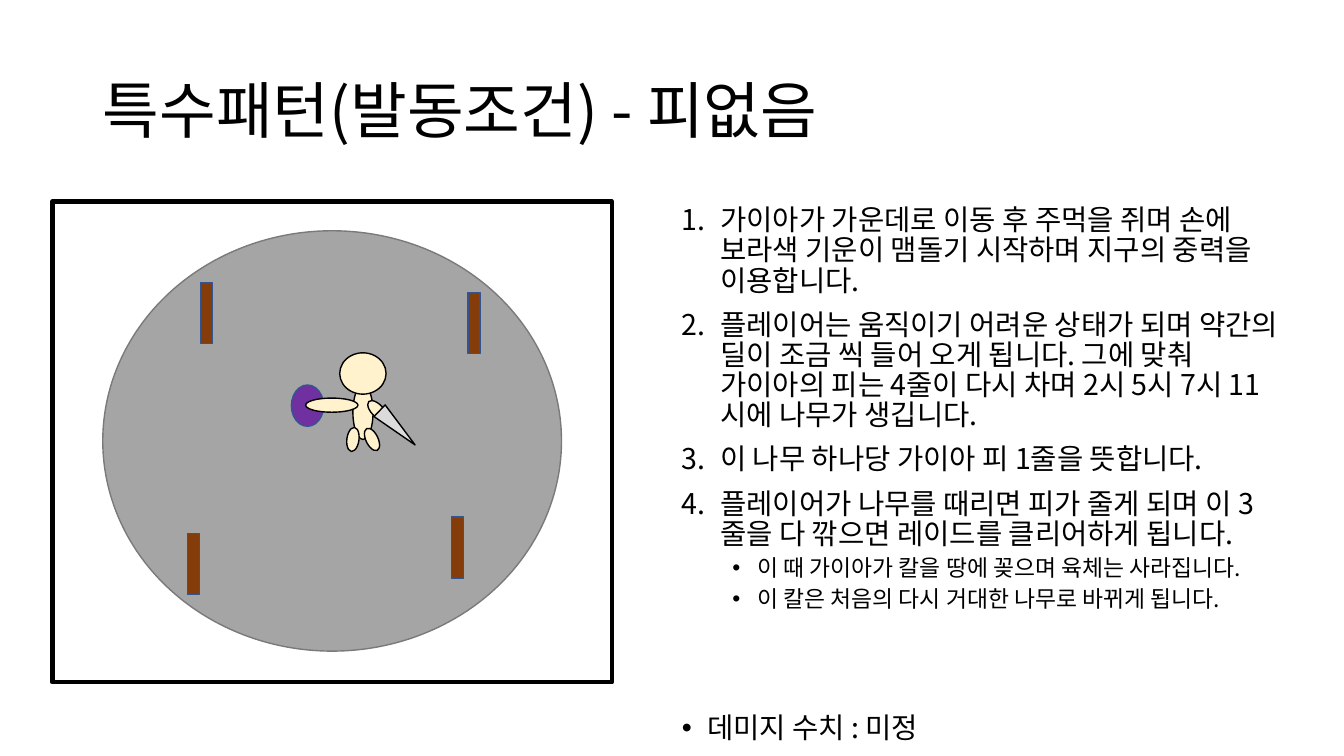
from dataclasses import dataclass

from lxml import etree
from pptx import Presentation
from pptx import util as u
from pptx.dml.color import RGBColor
from pptx.enum import shapes, text
from pptx.oxml.ns import qn

FONT = "Noto Sans CJK KR"
TITLE_SPACING, BODY_SPACING = 0.9, 0.88
BLACK, SKIN, BROWN, NAVY = "000000", "FFF2CC", "843C0B", "325491"
RECT = shapes.MSO_SHAPE.RECTANGLE
OVAL = shapes.MSO_SHAPE.OVAL
TRIANGLE = shapes.MSO_SHAPE.ISOSCELES_TRIANGLE

prs = Presentation()
prs.slide_width, prs.slide_height = u.Inches(13.33), u.Inches(7.5)


@dataclass
class Box:
    """Left and width in % of slide width, top and height in % of its height."""
    left: float
    top: float
    width: float
    height: float

    def emu(self) -> list[int]:
        w, h = prs.slide_width, prs.slide_height
        pairs = ((self.left, w), (self.top, h), (self.width, w), (self.height, h))
        return [round(share * size / 100) for share, size in pairs]


@dataclass
class Figure:
    kind: shapes.MSO_SHAPE
    box: Box
    fill: str | None = SKIN
    line: str = BLACK
    weight: float = 1
    rotation: float = 0


@dataclass
class Item:
    text: str
    size: float = 20.4
    before: float = 10
    indent: float = 0.38
    hanging: float = 0.38
    numbered: bool = True
    level: int = 0


def rgb(value: str) -> RGBColor:
    return RGBColor.from_string(value)


def draw_figure(s, fig: Figure) -> None:
    sp = s.shapes.add_shape(fig.kind, *fig.box.emu())
    sp.shadow.inherit = False
    sp.rotation = fig.rotation
    if fig.fill:
        sp.fill.solid()
        sp.fill.fore_color.rgb = rgb(fig.fill)
    else:
        sp.fill.background()
    sp.line.color.rgb = rgb(fig.line)
    sp.line.width = u.Pt(fig.weight)


def add_text_frame(s, box: Box, anchor: text.MSO_ANCHOR):
    tf = s.shapes.add_textbox(*box.emu()).text_frame
    tf.word_wrap = True
    tf.vertical_anchor = anchor
    return tf


def write(p, words: str, size: float, spacing: float) -> None:
    p.text = words
    p.line_spacing = spacing
    for r in p.runs:
        r.font.size = u.Pt(size)
        r.font.name = FONT
        r.font.color.rgb = rgb(BLACK)
        etree.SubElement(r.font._element, qn("a:ea")).set("typeface", FONT)


def write_item(p, item: Item, first: bool) -> None:
    write(p, item.text, item.size, BODY_SPACING)
    p.level = item.level
    p.space_before = u.Pt(0 if first else item.before)
    pPr = p._p.get_or_add_pPr()
    pPr.set("marL", str(u.Inches(item.indent)))
    pPr.set("indent", str(-u.Inches(item.hanging)))
    if item.numbered:
        etree.SubElement(pPr, qn("a:buFont")).set("typeface", "+mj-lt")
        etree.SubElement(pPr, qn("a:buAutoNum")).set("type", "arabicPeriod")
    else:
        etree.SubElement(pPr, qn("a:buFont")).set("typeface", "Arial")
        etree.SubElement(pPr, qn("a:buChar")).set("char", "•")


def sub_item(words: str) -> Item:
    return Item(words, 16.3, 5, 0.75, 0.25, False, 1)


ITEMS = [
    Item("가이아가 가운데로 이동 후 주먹을 쥐며 손에 보라색 기운이 맴돌기 시작하며 "
         "지구의 중력을 이용합니다."),
    Item("플레이어는 움직이기 어려운 상태가 되며 약간의 딜이 조금 씩 들어 오게 됩니다. "
         "그에 맞춰 가이아의 피는 4줄이 다시 차며 2시 5시 7시 11시에 나무가 생깁니다."),
    Item("이 나무 하나당 가이아 피 1줄을 뜻합니다."),
    Item("플레이어가 나무를 때리면 피가 줄게 되며 이 3줄을 다 깎으면 레이드를 "
         "클리어하게 됩니다."),
    sub_item("이 때 가이아가 칼을 땅에 꽂으며 육체는 사라집니다."),
    sub_item("이 칼은 처음의 다시 거대한 나무로 바뀌게 됩니다."),
    Item("데미지 수치 : 미정", before=73, indent=0.25, hanging=0.25, numbered=False),
]

ARENA = [
    Figure(RECT, Box(3.9, 26.67, 41.63, 63.6), None, weight=3),
    Figure(OVAL, Box(7.65, 30.53, 34.13, 55.6), "A5A5A5", "7A7A7A"),
]

GAIA = [
    Figure(OVAL, Box(26.26, 50.93, 1.5, 7.2)),  # torso
    Figure(OVAL, Box(25.28, 46.67, 3.45, 5.47)),  # head
    Figure(OVAL, Box(27.61, 52.67, 0.9, 3.2), rotation=136.5),  # sword arm
    Figure(OVAL, Box(21.68, 50.93, 2.4, 5.47), "7030A0", NAVY),  # purple aura
    Figure(OVAL, Box(27.23, 56.53, 0.9, 3.2), rotation=154.1),  # legs
    Figure(OVAL, Box(25.81, 56.53, 0.9, 3.2), rotation=7.4),
    Figure(TRIANGLE, Box(28.96, 53.33, 1.2, 6.53), "DBDBDB", rotation=133.9),  # sword
    Figure(OVAL, Box(24.16, 50.13, 1.05, 6.93), rotation=90),  # raised arm
]

TREE_CORNERS = [(13.95, 70.53), (34.81, 38.67), (14.93, 37.33), (33.61, 68.4)]
TREES = [Figure(RECT, Box(left, top, 0.9, 8.13), BROWN, NAVY)
         for left, top in TREE_CORNERS]


def main() -> None:
    s = prs.slides.add_slide(prs.slide_layouts[6])

    # Title
    tf = add_text_frame(s, Box(6.9, 5.33, 86.27, 19.33), text.MSO_ANCHOR.MIDDLE)
    write(tf.paragraphs[0], "특수패턴(발동조건) - 피없음", 44, TITLE_SPACING)

    # Pattern description
    tf = add_text_frame(s, Box(50, 26.67, 47.56, 73.33), text.MSO_ANCHOR.TOP)
    tf.margin_right = u.Inches(0.2)
    for i, item in enumerate(ITEMS):
        p = tf.add_paragraph() if i else tf.paragraphs[0]
        write_item(p, item, first=i == 0)

    # Arena diagram
    for fig in ARENA + GAIA + TREES:
        draw_figure(s, fig)

    prs.save("out.pptx")


if __name__ == "__main__":
    main()
